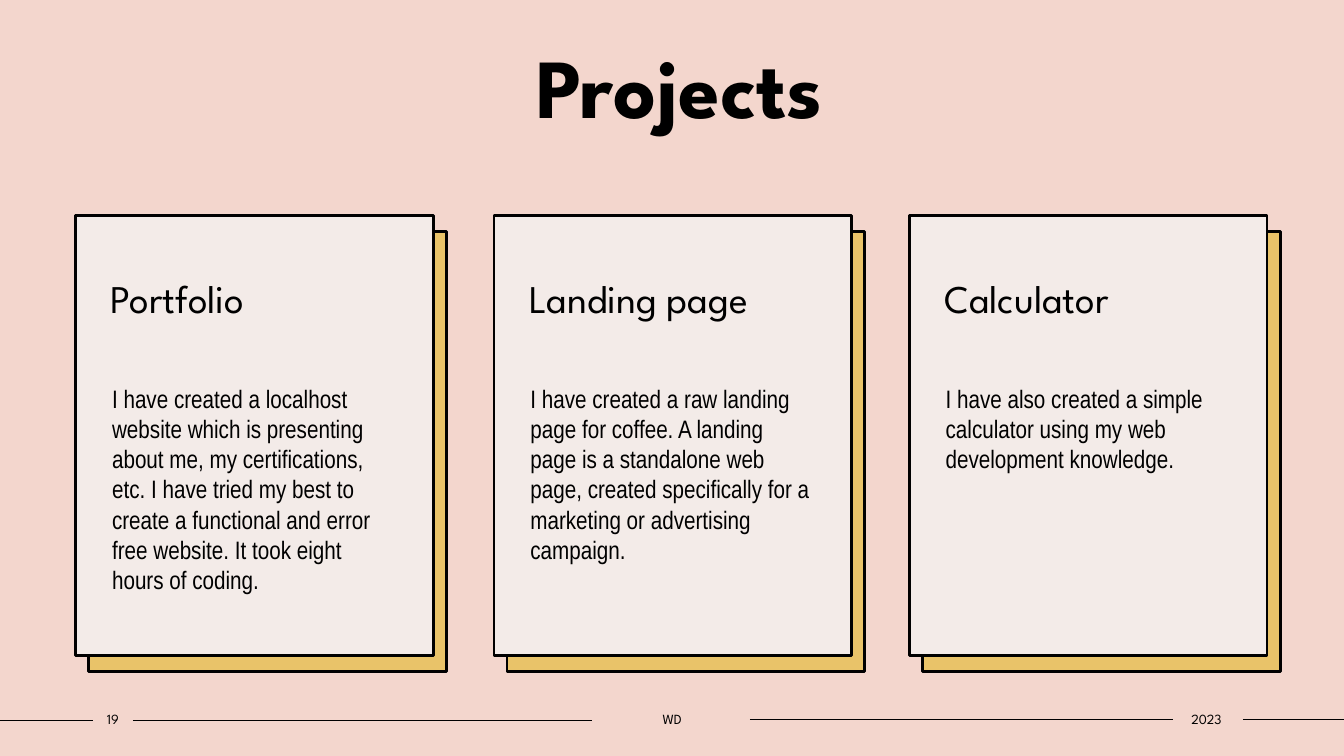
import pptx
import pptx.dml.color
import pptx.enum.shapes
import pptx.enum.text
import pptx.oxml.ns
import pptx.util
from lxml import etree

Pt = pptx.util.Pt
ALIGN = pptx.enum.text.PP_ALIGN
ANCHOR = pptx.enum.text.MSO_ANCHOR
RECTANGLE = pptx.enum.shapes.MSO_SHAPE.RECTANGLE
STRAIGHT = pptx.enum.shapes.MSO_CONNECTOR.STRAIGHT

# Content
TITLE = "Projects"
PROJECTS = [  # left edge, heading, description
    (54, "Portfolio",
     "I have created a localhost website which is presenting about me, my "
     "certifications, etc. I have tried my best to create a functional and "
     "error free website. It took eight hours of coding."),
    (352.8, "Landing page",
     "I have created a raw landing page for coffee. A landing page is a "
     "standalone web page, created specifically for a marketing or "
     "advertising campaign."),
    (649.4, "Calculator",
     "I have also created a simple calculator using my web development "
     "knowledge."),
]
FOOTER_TEXTS = [("19", 66.2, 28.8), ("WD", 422.6, 115.2), ("2023", 836.6, 50.4)]
FOOTER_LINES = [(0, 66.2, 514.6), (95, 422.6, 514.6),
                (535.7, 838, 514), (887.8, 960, 514)]

# Style
HEADING_FONT, BODY_FONT = "League Spartan", "Arial Narrow"
BLACK, PINK, CREAM, GOLD = "000000", "F3D6CD", "F3EBE8", "E9C369"
CARD_TOP, CARD_WIDTH, CARD_HEIGHT = 154.1, 255.6, 313.9
SHADOW_X, SHADOW_Y = 9.4, 11.5


def color(value):
    return pptx.dml.color.RGBColor.from_string(value)


def write(shape, text, font, size, align=ALIGN.LEFT, anchor=ANCHOR.TOP,
          bold=False, insets=(7.2, 3.6, 7.2, 3.6), spacing=None):
    frame = shape.text_frame
    frame.word_wrap = True
    frame.auto_size = pptx.enum.text.MSO_AUTO_SIZE.NONE
    frame.vertical_anchor = anchor
    (frame.margin_left, frame.margin_top,
     frame.margin_right, frame.margin_bottom) = map(Pt, insets)
    frame.text = text
    paragraph = frame.paragraphs[0]
    paragraph.alignment = align
    if spacing:
        paragraph.line_spacing = spacing
    for run in paragraph.runs:
        run.font.name = font
        run.font.size = Pt(size)
        run.font.bold = bold
        run.font.color.rgb = color(BLACK)


def add_card(left, top, fill):
    card = slide.shapes.add_shape(RECTANGLE, Pt(left), Pt(top),
                                  Pt(CARD_WIDTH), Pt(CARD_HEIGHT))
    card.shadow.inherit = False
    card.fill.solid()
    card.fill.fore_color.rgb = color(fill)
    card.line.color.rgb = color(BLACK)
    card.line.width = Pt(2)
    return card


def add_text_box(left, top, width, height):
    return slide.shapes.add_textbox(Pt(left), Pt(top), Pt(width), Pt(height))


presentation = pptx.Presentation()
presentation.slide_width, presentation.slide_height = Pt(960), Pt(540)
slide = presentation.slides.add_slide(presentation.slide_layouts[5])
slide.background.fill.solid()
slide.background.fill.fore_color.rgb = color(PINK)

# Title
title = slide.shapes.title
title.left, title.top, title.width, title.height = map(Pt, (95, 21.6, 780.5, 79.9))
write(title, TITLE, HEADING_FONT, 60, ALIGN.CENTER, ANCHOR.BOTTOM, bold=True,
      spacing=0.9)

# Project cards, each over an offset gold card
for left, heading, description in PROJECTS:
    add_card(left + SHADOW_X, CARD_TOP + SHADOW_Y, GOLD)
    card = add_card(left, CARD_TOP, CREAM)
    write(card, heading, HEADING_FONT, 28, insets=(25.2, 46, 7.2, 3.6),
          spacing=0.9)
    write(add_text_box(left + 19, 270, 216, 181.4), description, BODY_FONT, 18)

# Footer
for start, end, y in FOOTER_LINES:
    line = slide.shapes.add_connector(STRAIGHT, Pt(start), Pt(y), Pt(end), Pt(y))
    line.line.color.rgb = color(BLACK)
    line.line.width = Pt(1)
    etree.SubElement(line._element.spPr, pptx.oxml.ns.qn("a:effectLst"))
for text, left, width in FOOTER_TEXTS:
    write(add_text_box(left, 504, width, 19.4), text, HEADING_FONT, 10,
          ALIGN.CENTER, ANCHOR.MIDDLE, insets=(0, 3.6, 0, 3.6))

presentation.save("out.pptx")
